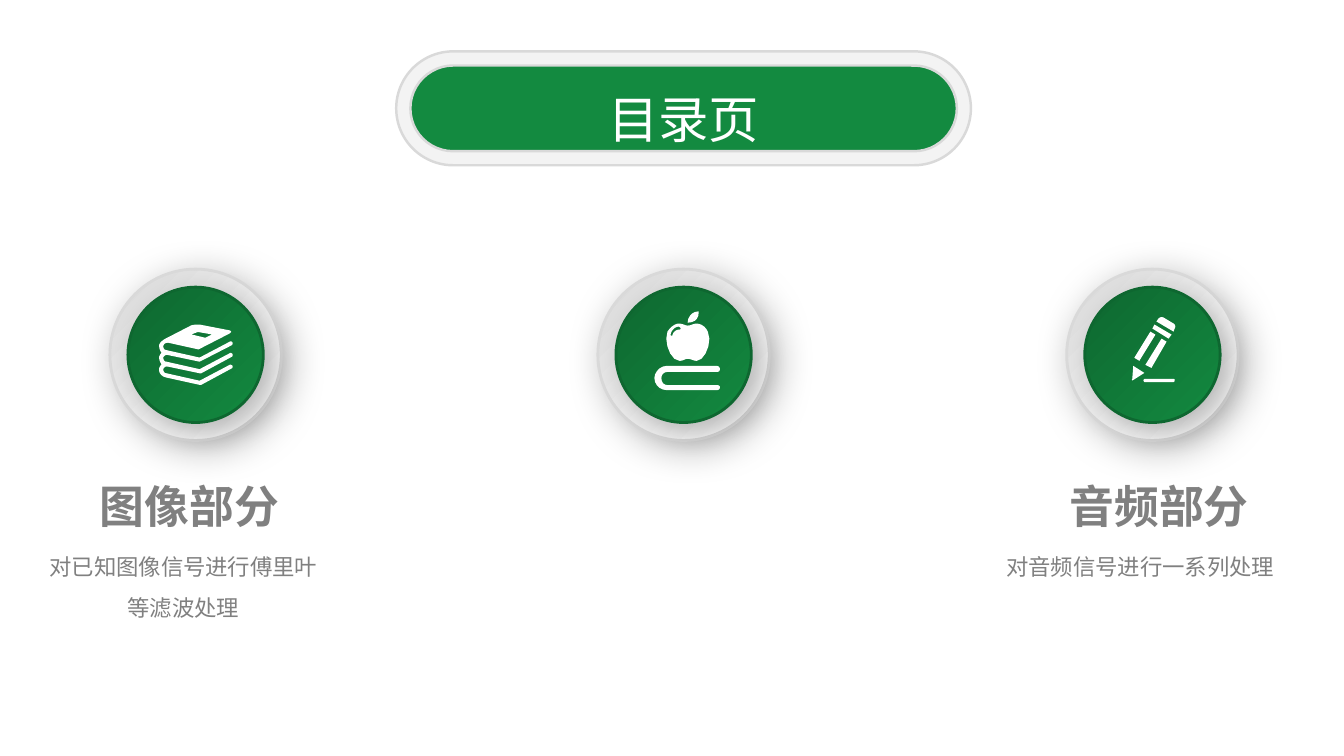
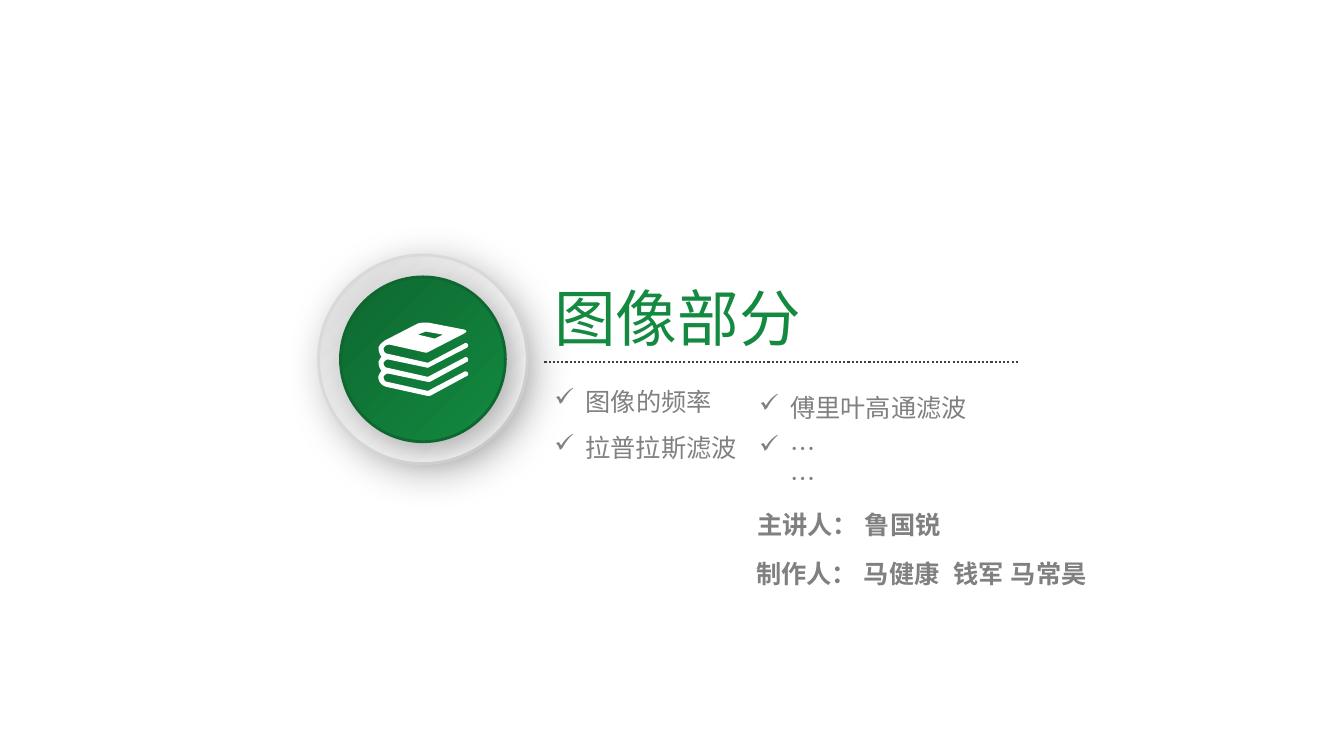
from lxml import etree
from pptx import Presentation
from pptx.dml.color import RGBColor
from pptx.enum.dml import MSO_LINE
from pptx.enum.shapes import MSO_CONNECTOR, MSO_SHAPE
from pptx.enum.text import PP_ALIGN
from pptx.oxml.ns import qn
from pptx.util import Inches, Pt

OVAL, PILL = MSO_SHAPE.OVAL, MSO_SHAPE.ROUNDED_RECTANGLE
STRAIGHT, DOTTED = MSO_CONNECTOR.STRAIGHT, MSO_LINE.ROUND_DOT
LEFT, CENTER = PP_ALIGN.LEFT, PP_ALIGN.CENTER

COLORS = {name: RGBColor.from_string(value) for name, value in {
    "green": "138A40", "dark_green": "0E6730", "white": "FFFFFF",
    "pale": "F3F3F3", "edge": "D9D9D9", "text": "808080", "rule": "404040",
}.items()}
FONT = "Noto Sans CJK SC"
RING = 1.7  # diameter at which the icon units are hundredths of an inch

# Contours: pairs are corners, six numbers are a Bezier curve.
BOOKS = [
    [(50, 59), (52, 59), (89, 39), (90, 39, 90, 37, 90, 36), (89, 34, 87, 34, 86, 35),
     (50, 54), (10, 45), (7, 45, 6, 42, 6, 40), (7, 38, 9, 36, 12, 37),
     (50, 45), (52, 44), (89, 25), (90, 24, 90, 23, 90, 22), (89, 20, 87, 20, 86, 21),
     (50, 40), (10, 31), (7, 31, 6, 28, 6, 26), (7, 23, 9, 22, 12, 22),
     (48, 30), (49, 30), (86, 11), (89, 9, 89, 8, 86, 7), (50, 0),
     (47, 0, 43, 0, 40, 1), (7, 18), (6, 19), (4, 20, 2, 22, 1, 25),
     (1, 28, 2, 32, 4, 34), (3, 35, 2, 37, 1, 39), (1, 42, 2, 46, 4, 48),
     (3, 49, 2, 51, 1, 53), (0, 58, 4, 63, 9, 64), (50, 73), (52, 73), (89, 53),
     (90, 53, 90, 51, 90, 50), (89, 49, 87, 48, 86, 49), (50, 68), (10, 59),
     (7, 59, 6, 56, 6, 54), (7, 52, 9, 50, 12, 51)],
    [(48, 9), (65, 12), (57, 16), (40, 12)],
]
APPLE = [
    [(65, 75), (65, 77, 64, 78, 62, 78), (12, 78), (6, 78, 0, 73, 0, 66),
     (0, 60, 6, 54, 12, 54), (62, 54), (64, 54, 65, 56, 65, 57),
     (65, 59, 64, 60, 62, 60), (13, 60), (9, 60, 7, 63, 7, 66),
     (7, 70, 9, 73, 13, 73), (62, 73), (64, 73, 65, 74, 65, 75)],
    [(34, 11), (40, 11, 44, 7, 44, 1), (44, 0), (43, 0), (38, 0, 33, 5, 33, 11)],
    [(53, 20), (51, 15, 46, 12, 42, 12), (38, 12, 37, 14, 33, 14),
     (30, 14, 29, 12, 24, 12), (21, 12, 16, 15, 13, 20), (9, 30, 16, 49, 25, 49),
     (29, 49, 30, 47, 33, 47), (37, 47, 38, 49, 42, 49), (50, 49, 58, 30, 53, 20)],
    [(25, 18), (24, 18), (22, 18, 19, 20, 18, 23), (18, 24, 18, 24, 17, 24),
     (16, 24, 16, 23, 16, 23), (17, 18, 21, 15, 24, 15), (26, 16, 26, 16, 26, 17),
     (26, 18, 25, 18, 25, 18)],
]
PENCIL = [
    [(27, 2), (28, 1, 30, 0, 32, 1), (42, 7), (44, 8, 44, 11, 43, 12), (42, 15), (25, 5)],
    [(23, 8), (21, 12), (37, 22), (40, 18)],
    [(1, 62), (2, 49), (13, 56), (2, 63), (1, 64, 0, 63, 1, 62)],
    [(3, 41), (19, 15), (24, 18), (8, 44)],
    [(14, 48), (30, 22), (35, 25), (20, 51)],
    [(13, 62), (42, 62), (43, 62, 43, 62, 43, 63), (43, 64, 43, 65, 42, 65),
     (13, 65), (13, 65, 12, 64, 12, 63)],
]
# Contours, offset inside the ring, scale
ICONS = {"books": (BOOKS, 0.48, 0.55, 0.82), "apple": (APPLE, 0.56, 0.42, 1),
         "pencil": (PENCIL, 0.64, 0.47, 1)}


def add_badge(slide, left, top, diameter, icon):
    """Draw a shaded ring, a green disc and a white icon."""
    disc = 0.79 * diameter
    inset = (diameter - disc) / 2
    for offset, size, first, last, edge, alpha, blur, distance in (
            (0, diameter, "edge", "white", "edge", 28, 28, 7),
            (inset, disc, "dark_green", "green", "dark_green", 25, 20, 9)):
        circle = slide.shapes.add_shape(OVAL, Inches(left + offset), Inches(top + offset),
                                        Inches(size), Inches(size))
        circle.fill.gradient()
        circle.fill.gradient_angle = 315
        for stop, color in zip(circle.fill.gradient_stops, (first, last)):
            stop.color.rgb = COLORS[color]
        circle.line.color.rgb = COLORS[edge]
        circle.line.width = Pt(2)
        circle.shadow.inherit = False
        effects = circle._element.spPr.find(qn("a:effectLst"))
        shadow = etree.SubElement(effects, qn("a:outerShdw"), blurRad=str(Pt(blur)),
                                  dist=str(Pt(distance)), dir="2700000", rotWithShape="0")
        black = etree.SubElement(shadow, qn("a:srgbClr"), val="000000")
        etree.SubElement(black, qn("a:alpha"), val=str(alpha * 1000))

    contours, dx, dy, scale = ICONS[icon]
    ratio = diameter / RING
    outline = None
    for contour in contours:
        points = []
        for node in contour:
            if len(node) == 2:
                points.append(node)
                continue
            x0, y0 = points[-1]
            x1, y1, x2, y2, x3, y3 = node
            for t in (0.2, 0.4, 0.6, 0.8, 1):
                a, b, c, d = (1 - t) ** 3, 3 * t * (1 - t) ** 2, 3 * t * t * (1 - t), t ** 3
                points.append((a * x0 + b * x1 + c * x2 + d * x3,
                               a * y0 + b * y1 + c * y2 + d * y3))
        placed = [(Inches(left + ratio * (dx + scale * x / 100)),
                   Inches(top + ratio * (dy + scale * y / 100))) for x, y in points]
        if outline is None:
            outline = slide.shapes.build_freeform(*placed[0])
        else:
            outline.move_to(*placed[0])
        outline.add_line_segments(placed[1:], close=True)
    drawing = outline.convert_to_shape()
    drawing.fill.solid()
    drawing.fill.fore_color.rgb = COLORS["white"]
    drawing.line.fill.background()
    drawing.shadow.inherit = False


def add_text(slide, text, box, size, color="text", bold=False, align=LEFT,
             spacing=1.0, wrap=False, bullet=None, font=FONT):
    frame = slide.shapes.add_textbox(*map(Inches, box)).text_frame
    frame.word_wrap = wrap
    paragraph = frame.paragraphs[0]
    paragraph.alignment = align
    paragraph.line_spacing = spacing
    if bullet:
        properties = paragraph._p.get_or_add_pPr()
        properties.set("marL", str(Inches(0.31)))
        properties.set("indent", str(Inches(-0.31)))
        etree.SubElement(properties, qn("a:buChar"), char=bullet)
    run = paragraph.add_run()
    run.text = text
    run.font.size = Pt(size)
    run.font.bold = bold
    run.font.color.rgb = COLORS[color]
    run.font.name = font
    etree.SubElement(run._r.get_or_add_rPr(), qn("a:ea"), typeface=font)


prs = Presentation()
prs.slide_width, prs.slide_height = Inches(13.33), Inches(7.5)
blank = prs.slide_layouts[6]

# Contents
contents = prs.slides.add_slide(blank)
for box, color in (((3.93, 0.51, 5.7, 1.13), "pale"), ((4.07, 0.65, 5.42, 0.85), "green")):
    banner = contents.shapes.add_shape(PILL, *map(Inches, box))
    banner.adjustments[0] = 0.5
    banner.fill.solid()
    banner.fill.fore_color.rgb = COLORS[color]
    banner.line.color.rgb = COLORS["edge"]
    banner.line.width = Pt(1.75)
    banner.shadow.inherit = False
add_text(contents, "目录页", (4.59, 0.52, 4.38, 0.75), 36, "white",
         align=CENTER, spacing=1.5, wrap=True)

for heading, heading_left, summary, summary_left in (
        ("图像部分", 0.89, "对已知图像信号进行傅里叶等滤波处理", 0.31),
        ("音频部分", 10.51, "对音频信号进行一系列处理", 9.8)):
    add_text(contents, heading, (heading_left, 4.7, 2, 0.64), 32, bold=True)
    add_text(contents, summary, (summary_left, 5.31, 3.02, 1.25), 16,
             align=CENTER, spacing=1.5, wrap=True)

for left, icon in ((1.09, "books"), (5.93, "apple"), (10.58, "pencil")):
    add_badge(contents, left, 2.67, RING, icon)

# Image section
section = prs.slides.add_slide(blank)
rule = section.shapes.add_connector(STRAIGHT, Inches(5.4), Inches(3.59),
                                    Inches(10.11), Inches(3.59))
rule.line.color.rgb = COLORS["rule"]
rule.line.width = Pt(1.5)
rule.line.dash_style = DOTTED
etree.SubElement(rule._element.spPr, qn("a:effectLst"))

add_text(section, "图像部分", (5.4, 2.73, 2.67, 0.84), 44, "green")
add_badge(section, 3.16, 2.53, 2.07, "books")

for topic, left, top, width in (
        ("图像的频率", 5.4, 3.78, 1.78), ("傅里叶高通滤波", 7.43, 3.84, 2.28),
        ("拉普拉斯滤波", 5.4, 4.24, 2.03), ("……", 7.43, 4.25, 0.88)):
    add_text(section, topic, (left, top, width, 0.4), 18, bullet="✓", wrap=topic == "……")

for credit, left, top, width in (("主讲人： 鲁国锐", 7.41, 5, 2.32),
                                 ("制作人： 马健康  钱军 马常昊", 7.4, 5.49, 3.52)):
    add_text(section, credit, (left, top, width, 0.4), 18, bold=True, wrap=True, font="Arial")

prs.save("out.pptx")
